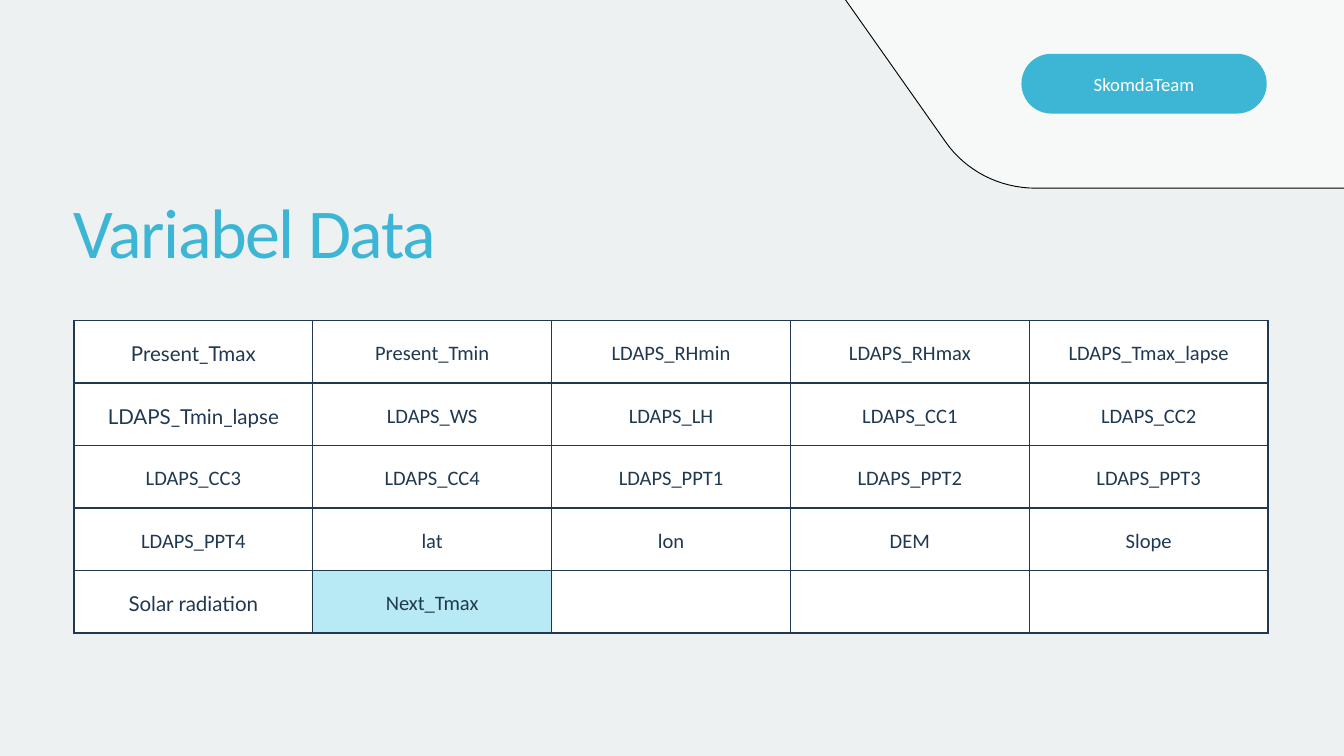
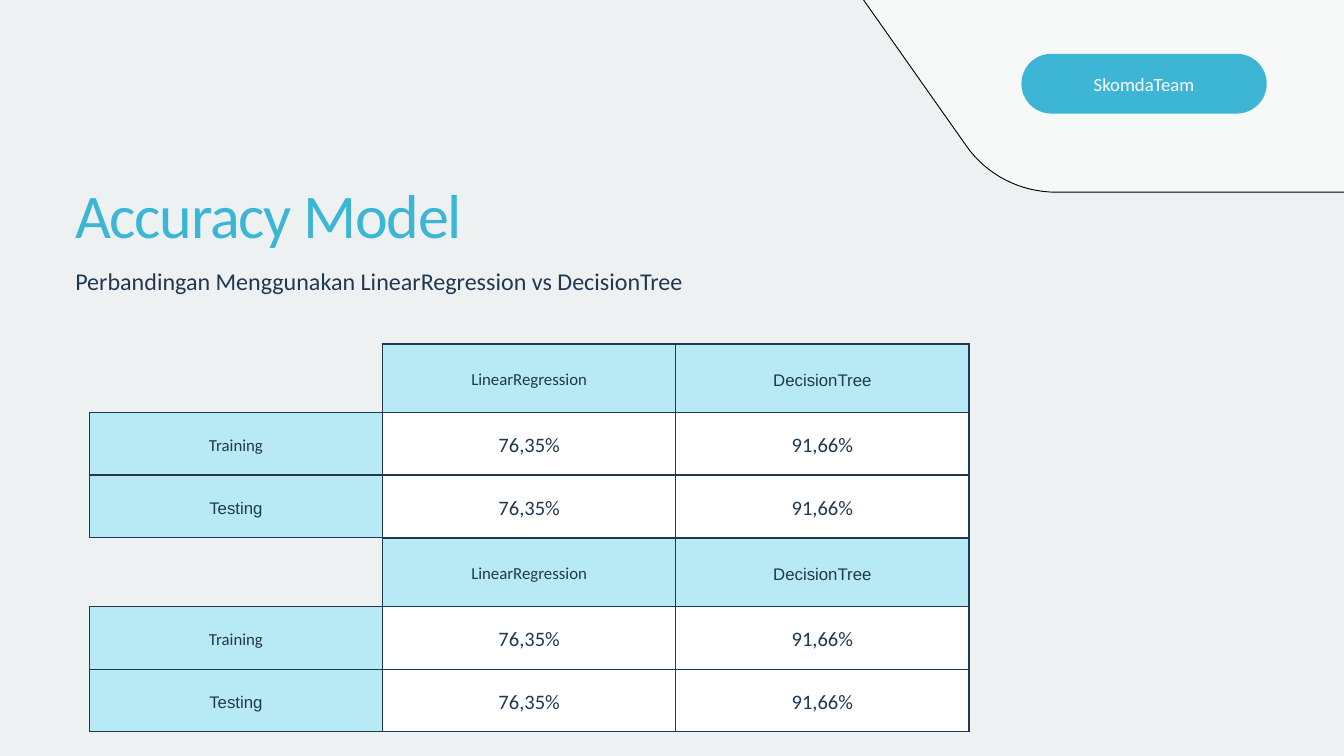
"""Build two slides: the data variables and the model accuracy tables."""
import pptx
import pptx.util
import pptx.dml.color
import pptx.enum.shapes
import pptx.enum.text
import pptx.oxml
import pptx.oxml.ns
from lxml import etree

Inches, Pt = pptx.util.Inches, pptx.util.Pt
Align = pptx.enum.text.PP_ALIGN
Anchor = pptx.enum.text.MSO_ANCHOR
qn = pptx.oxml.ns.qn

THEME = {
    "page": "EDF1F2", "blue": "3DB6D6", "pale": "B8EAF6", "ink": "203850",
    "white": "FFFFFF", "black": "000000",
    "font": "Calibri", "tag": 20, "lead": 25.8, "head": 18, "cell": 22,
}
FACES = {
    "Present_Tmax": "Lato", "LDAPS_Tmin_lapse": "Lato", "Solar radiation": "Lato",
    "DecisionTree": "Arial", "Testing": "Arial",
}
TEAM = "SkomdaTeam"
FIELDS = [
    ["Present_Tmax", "Present_Tmin", "LDAPS_RHmin", "LDAPS_RHmax", "LDAPS_Tmax_lapse"],
    ["LDAPS_Tmin_lapse", "LDAPS_WS", "LDAPS_LH", "LDAPS_CC1", "LDAPS_CC2"],
    ["LDAPS_CC3", "LDAPS_CC4", "LDAPS_PPT1", "LDAPS_PPT2", "LDAPS_PPT3"],
    ["LDAPS_PPT4", "lat", "lon", "DEM", "Slope"],
    ["Solar radiation", "Next_Tmax", "", "", ""],
]
TARGET = "Next_Tmax"
SCORES = [
    ["", "LinearRegression", "DecisionTree"],
    ["Training", "76,35%", "91,66%"],
    ["Testing", "76,35%", "91,66%"],
]
LEAD = "Perbandingan Menggunakan LinearRegression vs DecisionTree"
PANEL = [
    (22.77, 1.99), (24.88, -1.64), (25.24, -2.26, 25.15, -3.05, 24.66, -3.57),
    (19.98, -8.66), (19.67, -9, 19.23, -9.19, 18.77, -9.19),
    (13.86, -9.19), (12.96, -9.19, 12.22, -8.45, 12.22, -7.55),
    (12.22, -1.03), (12.22, -0.69, 12.33, -0.36, 12.52, -0.09),
    (14.07, 2.11), (14.37, 2.54, 14.87, 2.8, 15.41, 2.8),
    (21.36, 2.8), (21.94, 2.8, 22.48, 2.49, 22.77, 1.99),
]


def tint(name):
    """Return a theme colour."""
    return pptx.dml.color.RGBColor.from_string(THEME[name])


def apply(item, **values):
    """Set each value as an attribute of the item."""
    for name, value in values.items():
        setattr(item, name, value)


def paint(shape, name):
    """Give a shape a flat fill and no shadow."""
    shape.fill.solid()
    shape.fill.fore_color.rgb = tint(name)
    shape.shadow.inherit = False


def write(frame, text, size, color="ink", align=Align.LEFT, lead=1.2,
          anchor=Anchor.TOP, inset=0):
    """Write one formatted paragraph and return it."""
    apply(frame, word_wrap=True, vertical_anchor=anchor,
          auto_size=pptx.enum.text.MSO_AUTO_SIZE.NONE,
          **{"margin_" + side: Inches(inset) for side in ("left", "top", "right", "bottom")})
    para = frame.paragraphs[0]
    para.text = text
    apply(para, alignment=align, line_spacing=Pt(size * lead), space_before=Pt(0))
    font = para.runs[0].font
    apply(font, size=Pt(size), name=FACES.get(text, THEME["font"]))
    font.color.rgb = tint(color)
    return para


def place(shape, *box):
    """Move a shape to a box given in inches."""
    apply(shape, **dict(zip(("left", "top", "width", "height"), map(Inches, box))))


def trace(steps):
    """Turn line and curve steps into a list of points."""
    points = [steps[0]]
    for step in steps[1:]:
        if len(step) == 2:
            points.append(step)
            continue
        knots = [points[-1], step[:2], step[2:4], step[4:]]
        for i in range(1, 17):
            t = i / 16
            parts = ((1 - t) ** 3, 3 * t * (1 - t) ** 2, 3 * t * t * (1 - t), t ** 3)
            points.append(tuple(sum(w * k[axis] for w, k in zip(parts, knots))
                                for axis in (0, 1)))
    return points


def start(deck, layout, title, size, box, shift=(0, 0)):
    """Add a slide with its title, corner panel and team tag."""
    slide = deck.slides.add_slide(deck.slide_layouts[layout])
    points = [(Inches(x + shift[0]), Inches(y + shift[1])) for x, y in trace(PANEL)]
    path = slide.shapes.build_freeform(*points[0])
    path.add_line_segments(points[1:], close=True)
    panel = path.convert_to_shape()
    paint(panel, "white")
    shade = panel._element.spPr.xpath("a:solidFill/a:srgbClr")[0]
    etree.SubElement(shade, qn("a:alpha"), val="60000")
    panel.line.color.rgb = tint("black")
    panel.line.width = Pt(1)

    tag = slide.shapes.add_shape(pptx.enum.shapes.MSO_SHAPE.ROUNDED_RECTANGLE, 0, 0, 0, 0)
    place(tag, 15.2, 0.8, 3.65, 0.89)
    tag.adjustments[0] = 0.5
    paint(tag, "blue")
    tag.line.fill.background()
    write(tag.text_frame, TEAM, THEME["tag"], "white", Align.CENTER, anchor=Anchor.MIDDLE)

    place(slide.shapes.title, *box)
    para = write(slide.shapes.title.text_frame, title, size, "blue")
    para.runs[0].font._element.set("spc", str(round(-2 * size)))
    return slide


def edge(cell, bare=""):
    """Draw the cell borders, leaving the bare sides open."""
    props = cell._tc.get_or_add_tcPr()
    for side in "LRTB":
        line = etree.SubElement(props, qn("a:ln" + side), w=str(Pt(1.5)))
        if side in bare:
            etree.SubElement(line, qn("a:noFill"))
        else:
            fill = etree.SubElement(line, qn("a:solidFill"))
            etree.SubElement(fill, qn("a:srgbClr"), val=THEME["ink"])


def grid(slide, rows, box, heights, is_head, corner=False):
    """Add a bordered table; head cells are pale and the corner may be open."""
    table = slide.shapes.add_table(len(rows), len(rows[0]), *map(Inches, box)).table
    apply(table, first_row=False, horz_banding=False)
    for col in table.columns:
        col.width = Inches(box[2] / len(rows[0]))
    for r, row in enumerate(rows):
        table.rows[r].height = Inches(heights[r])
        for c, text in enumerate(row):
            cell = table.cell(r, c)
            head = is_head(r, c)
            if corner and r == c == 0:
                edge(cell, "LT")
                cell.fill.background()
                continue
            edge(cell)
            cell.fill.solid()
            cell.fill.fore_color.rgb = tint("pale" if head else "white")
            if text:
                size = THEME["head" if head and corner else "cell"]
                write(cell.text_frame, text, size, align=Align.CENTER, lead=1.4)
                apply(cell, vertical_anchor=Anchor.MIDDLE,
                      **{"margin_" + s: Inches(0.21) for s in ("left", "top", "right", "bottom")})


def main():
    """Build and save the deck."""
    deck = pptx.Presentation()
    apply(deck, slide_width=Inches(20), slide_height=Inches(11.25))
    back = deck.slide_master.background.fill
    back.solid()
    back.fore_color.rgb = tint("page")

    slide = start(deck, 5, "Variabel Data", 75, (1.1, 2.8, 10.14, 1.24))
    grid(slide, FIELDS, (1.1, 4.77, 17.77, 4.65), [0.93] * 5,
         lambda r, c: FIELDS[r][c] == TARGET)

    slide = start(deck, 1, "Accuracy Model", 66.5, (1.12, 2.63, 7.57, 1.1), (0.31, 0.06))
    body = slide.placeholders[1]
    place(body, 1.12, 3.97, 12.44, 0.43)
    props = body.text_frame.paragraphs[0]._p.get_or_add_pPr()
    apply(props, marL=0, indent=0) if hasattr(props, "marL") else props.attrib.update(
        {"marL": "0", "indent": "0"})
    etree.SubElement(props, qn("a:buNone"))
    write(body.text_frame, LEAD, THEME["lead"])
    for i in range(2):
        grid(slide, SCORES, (1.33, 5.12 + i * 2.89, 13.09, 2.89), [1.02, 0.93, 0.93],
             lambda r, c: r == 0 or c == 0, corner=True)
    deck.save("out.pptx")


if __name__ == "__main__":
    main()
